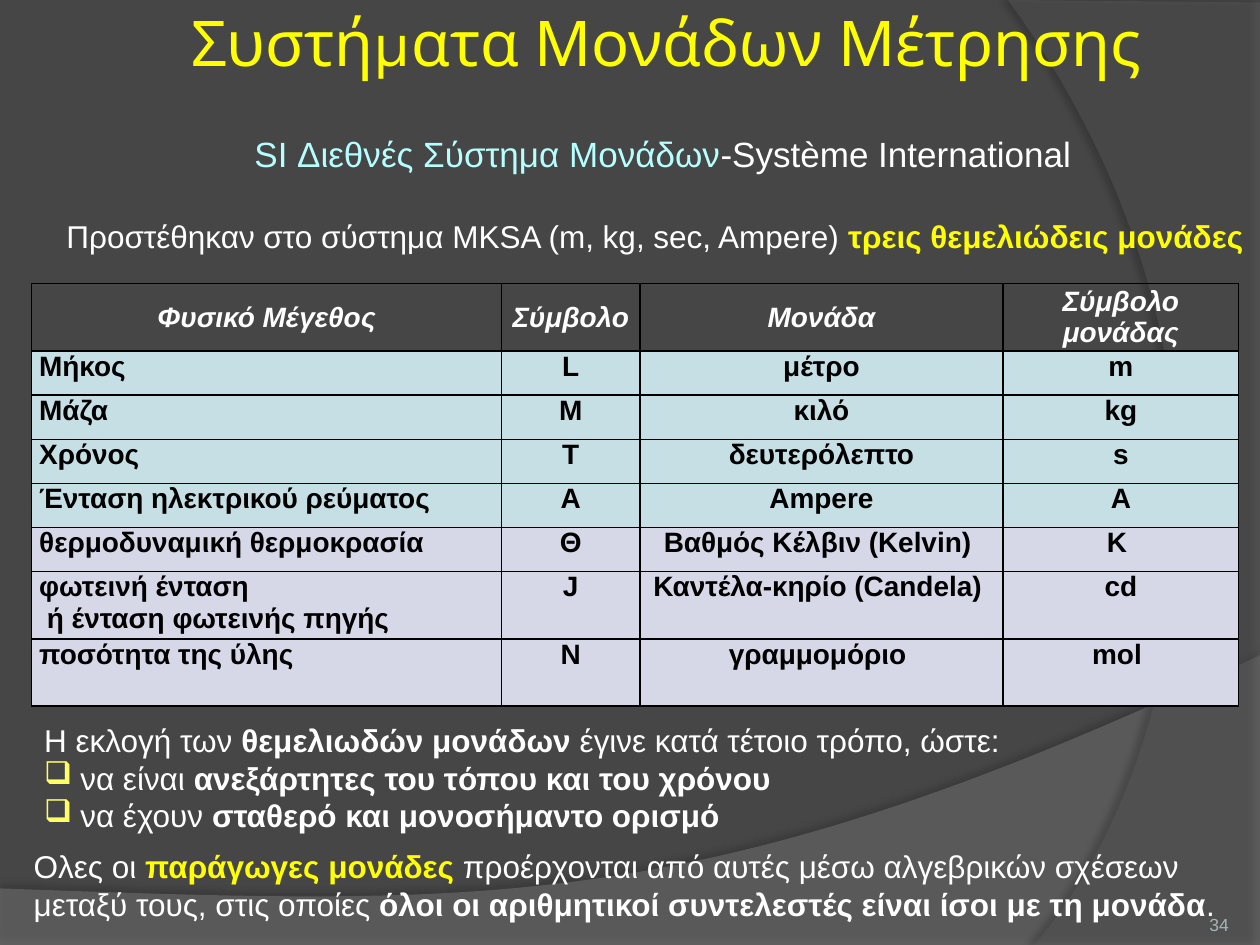
"""Build the slide on the base units of the International System."""
from dataclasses import dataclass

from lxml import etree
from pptx import Presentation
from pptx import util as u
from pptx.dml.color import RGBColor
from pptx.enum import text
from pptx.oxml import ns

BACKGROUND = RGBColor(0x46, 0x46, 0x46)
BOTTOM_GRAY = RGBColor(0x7F, 0x7F, 0x7F)
SIDE_GRAY = RGBColor(0x5E, 0x5E, 0x5E)
YELLOW = RGBColor(0xFF, 0xFF, 0x00)
BULLET_YELLOW = RGBColor(0xFF, 0xFF, 0x66)
CYAN = RGBColor(0xB5, 0xFF, 0xFF)
WHITE = RGBColor(0xFF, 0xFF, 0xFF)
BLACK = RGBColor(0, 0, 0)
NUMBER_GRAY = RGBColor(0xA4, 0xB5, 0xB9)
MKSA_BLUE = RGBColor(0xC6, 0xDF, 0xE4)
ADDED_LILAC = RGBColor(0xD7, 0xD8, 0xE7)

LEFT, CENTER, RIGHT = text.PP_ALIGN.LEFT, text.PP_ALIGN.CENTER, text.PP_ALIGN.RIGHT
TOP, MIDDLE, BOTTOM = text.MSO_ANCHOR.TOP, text.MSO_ANCHOR.MIDDLE, text.MSO_ANCHOR.BOTTOM
Point = tuple[float, float]


@dataclass
class Wave:
    corners: list[Point]
    curve: tuple[Point, Point, Point]
    color: RGBColor
    opacity: int
    shadow_opacity: int
    shadow_distance: float
    shadow_angle: int


@dataclass
class Span:
    words: str
    color: RGBColor = WHITE
    bold: bool = False


@dataclass
class Line:
    spans: list[Span]
    bulleted: bool = False


@dataclass
class Note:
    at: tuple[float, float, float, float]
    lines: list[Line]
    size: int = 18
    font: str = "Arial"
    align: text.PP_ALIGN = LEFT
    anchor: text.MSO_ANCHOR = TOP
    insets: tuple[float, float, float, float] = (0.25, 0.13, 0.25, 0.13)


@dataclass
class Quantity:
    cells: tuple[str, str, str, str]
    fill: RGBColor
    height: float = 0.89


WAVES = [
    Wave([(0, 17.91), (0, 19.05), (25.4, 19.05), (25.4, 13.21)],
         ((14.2, 18.52), (9.93, 18.26), (0, 17.91)), BOTTOM_GRAY, 45, 35, 3.5, 270),
    Wave([(25.4, 0.05), (25.4, 19.05), (20.85, 19.05)],
         ((23.75, 15.72), (25.86, 7.62), (20.32, 0)), SIDE_GRAY, 40, 45, 4, 180),
]
NOTES = [
    Note((2.74, -0.43, 21.39, 2.54), [Line([Span("Συστήματα Μονάδων Μέτρησης", YELLOW)])],
         36, "Karla", CENTER, MIDDLE, (0.13, 0.13, 0.13, 0.13)),
    Note((22.66, 17.83, 2.11, 1.02), [Line([Span("34", NUMBER_GRAY)])],
         10, "Arial", RIGHT, BOTTOM, (0, 0, 0, 0)),
    Note((4.88, 2.54, 17.78, 1.12), [Line([
        Span("SI Διεθνές Σύστημα Μονάδων", CYAN), Span("-Système International")])], 20),
    Note((1.09, 4.24, 24.31, 1.02), [Line([
        Span("Προστέθηκαν στο σύστημα MKSA (m, kg, sec, Ampere) "),
        Span("τρεις θεμελιώδεις μονάδες", YELLOW, True)])],
        insets=(0.25, 0.13, 0, 0.13)),
    Note((0.64, 14.4, 24.76, 2.57), [
        Line([Span("Η εκλογή των "), Span("θεμελιωδών μονάδων ", bold=True),
              Span("έγινε κατά τέτοιο τρόπο, ώστε:")]),
        Line([Span("να είναι "), Span("ανεξάρτητες του τόπου και του χρόνου", bold=True)], True),
        Line([Span("να έχουν "), Span("σταθερό και μονοσήμαντο ορισμό", bold=True)], True)]),
    Note((0.43, 16.94, 24.76, 1.8), [Line([
        Span("Ολες οι "), Span("παράγωγες μονάδες ", YELLOW, True),
        Span("προέρχονται από αυτές μέσω αλγεβρικών σχέσεων μεταξύ τους, στις οποίες "),
        Span("όλοι οι αριθμητικοί συντελεστές είναι ίσοι με τη μονάδα", bold=True),
        Span(".")])]),
]
HEADINGS = ("Φυσικό Μέγεθος", "Σύμβολο", "Μονάδα", "Σύμβολο μονάδας")
HEADING_HEIGHT = 1.35
COLUMN_WIDTHS = (9.47, 2.79, 7.32, 4.75)
QUANTITIES = [
    Quantity(("Μήκος", "L", "μέτρο", "m"), MKSA_BLUE),
    Quantity(("Μάζα", "M", "κιλό", "kg"), MKSA_BLUE),
    Quantity(("Χρόνος", "T", "δευτερόλεπτο", "s"), MKSA_BLUE),
    Quantity(("Ένταση ηλεκτρικού ρεύματος", "Α", "Ampere", "A"), MKSA_BLUE),
    Quantity(("θερμοδυναμική θερμοκρασία", "Θ", "Βαθμός Κέλβιν (Kelvin) ", "Κ "), ADDED_LILAC),
    Quantity(("φωτεινή ένταση\n ή ένταση φωτεινής πηγής", "J", "Καντέλα-κηρίο (Candela) ", "cd"),
             ADDED_LILAC, 1.35),
    Quantity(("ποσότητα της ύλης", "Ν", "γραμμομόριο ", "mol "), ADDED_LILAC, 1.35),
]


def add_xml(parent, tag: str, **attributes):
    return etree.SubElement(parent, ns.qn(tag), attributes)


def curve_points(start: Point, curve: tuple[Point, Point, Point], steps: int = 60) -> list[Point]:
    weights = [((1 - t) ** 3, 3 * t * (1 - t) ** 2, 3 * t * t * (1 - t), t ** 3)
               for t in (step / steps for step in range(1, steps + 1))]
    return [tuple(sum(w * p[axis] for w, p in zip(weight, (start, *curve))) for axis in (0, 1))
            for weight in weights]


def draw_wave(slide, wave: Wave) -> None:
    outline = wave.corners + curve_points(wave.corners[-1], wave.curve)
    first, *others = [(u.Cm(x), u.Cm(y)) for x, y in outline]
    builder = slide.shapes.build_freeform(*first)
    builder.add_line_segments(others, close=True)
    band = builder.convert_to_shape()
    band.line.fill.background()
    band.fill.solid()
    band.fill.fore_color.rgb = wave.color
    properties = band._element.spPr
    color = properties.find(ns.qn("a:solidFill"))[0]
    add_xml(color, "a:alpha", val=str(wave.opacity * 1000))
    band.shadow.inherit = False
    effects = properties.find(ns.qn("a:effectLst"))
    shadow = add_xml(effects, "a:outerShdw", blurRad=str(u.Pt(4)),
                     dist=str(u.Pt(wave.shadow_distance)),
                     dir=str(wave.shadow_angle * 60000), rotWithShape="0")
    shade = add_xml(shadow, "a:srgbClr", val=str(BLACK))
    add_xml(shade, "a:alpha", val=str(wave.shadow_opacity * 1000))


def add_bullet(paragraph) -> None:
    properties = paragraph._p.get_or_add_pPr()
    properties.set("marL", str(u.Cm(0.73)))
    properties.set("indent", str(-u.Cm(0.73)))
    color = add_xml(properties, "a:buClr")
    add_xml(color, "a:srgbClr", val=str(BULLET_YELLOW))
    add_xml(properties, "a:buChar", char="❑")


def style_font(font, name: str, size: int, color: RGBColor, bold: bool) -> None:
    font.name, font.size, font.bold = name, u.Pt(size), bold
    font.color.rgb = color


def draw_note(slide, note: Note) -> None:
    frame = slide.shapes.add_textbox(*map(u.Cm, note.at)).text_frame
    frame.word_wrap = True
    frame.vertical_anchor = note.anchor
    (frame.margin_left, frame.margin_top,
     frame.margin_right, frame.margin_bottom) = map(u.Cm, note.insets)
    for index, line in enumerate(note.lines):
        paragraph = frame.add_paragraph() if index else frame.paragraphs[0]
        paragraph.alignment = note.align
        if line.bulleted:
            add_bullet(paragraph)
        for span in line.spans:
            run = paragraph.add_run()
            run.text = span.words
            style_font(run.font, note.font, note.size, span.color, span.bold)


def draw_cell(cell, words: str, align: text.PP_ALIGN, fill: RGBColor | None) -> None:
    heading = fill is None
    cell.text_frame.text = words
    cell.margin_left = cell.margin_right = u.Cm(0.15)
    cell.margin_top = cell.margin_bottom = 0
    cell.vertical_anchor = MIDDLE if heading else TOP
    for paragraph in cell.text_frame.paragraphs:
        paragraph.alignment = align
        for run in paragraph.runs:
            style_font(run.font, "Arial", 16, WHITE if heading else BLACK, True)
            run.font.italic = heading
    for side in ("a:lnL", "a:lnR", "a:lnT", "a:lnB"):
        border = add_xml(cell._tc.get_or_add_tcPr(), side, w=str(u.Pt(1)))
        add_xml(add_xml(border, "a:solidFill"), "a:srgbClr", val=str(BLACK))
    if heading:
        cell.fill.background()
    else:
        cell.fill.solid()
        cell.fill.fore_color.rgb = fill


def draw_units(slide) -> None:
    heights = [HEADING_HEIGHT] + [quantity.height for quantity in QUANTITIES]
    units = slide.shapes.add_table(
        len(heights), len(COLUMN_WIDTHS), u.Cm(0.64), u.Cm(5.72),
        u.Cm(sum(COLUMN_WIDTHS)), u.Cm(sum(heights))).table
    units.first_row = units.horz_banding = False
    for column, width in zip(units.columns, COLUMN_WIDTHS):
        column.width = u.Cm(width)
    for row, height in zip(units.rows, heights):
        row.height = u.Cm(height)
    for column, words in enumerate(HEADINGS):
        draw_cell(units.cell(0, column), words, CENTER, None)
    for row, quantity in enumerate(QUANTITIES, 1):
        for column, words in enumerate(quantity.cells):
            draw_cell(units.cell(row, column), words, CENTER if column else LEFT, quantity.fill)


def main() -> None:
    deck = Presentation()
    deck.slide_width, deck.slide_height = u.Cm(25.4), u.Cm(19.05)
    slide = deck.slides.add_slide(deck.slide_layouts[6])
    slide.background.fill.solid()
    slide.background.fill.fore_color.rgb = BACKGROUND
    for wave in WAVES:
        draw_wave(slide, wave)
    for note in NOTES[:4]:
        draw_note(slide, note)
    draw_units(slide)
    for note in NOTES[4:]:
        draw_note(slide, note)
    deck.save("out.pptx")


if __name__ == "__main__":
    main()
